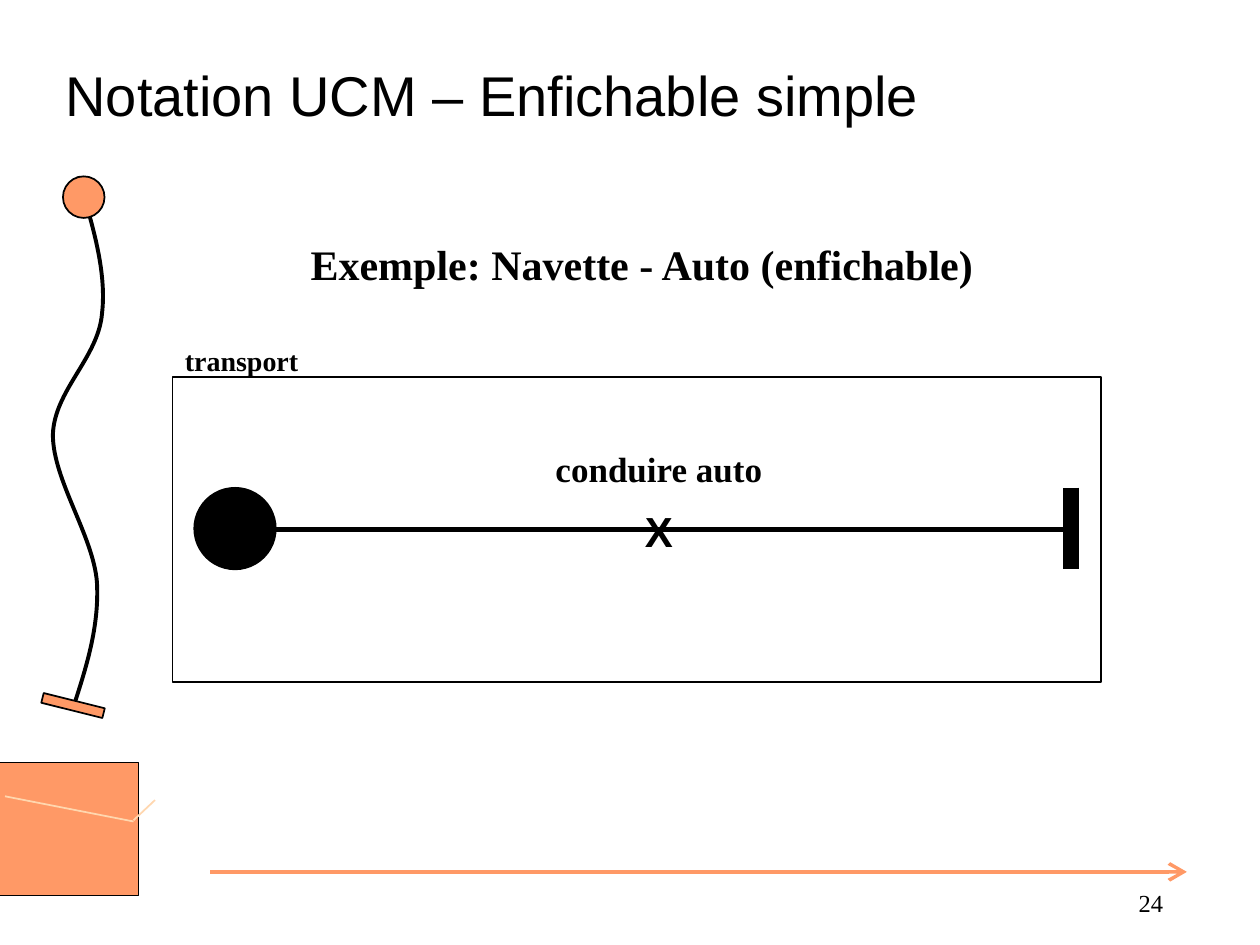
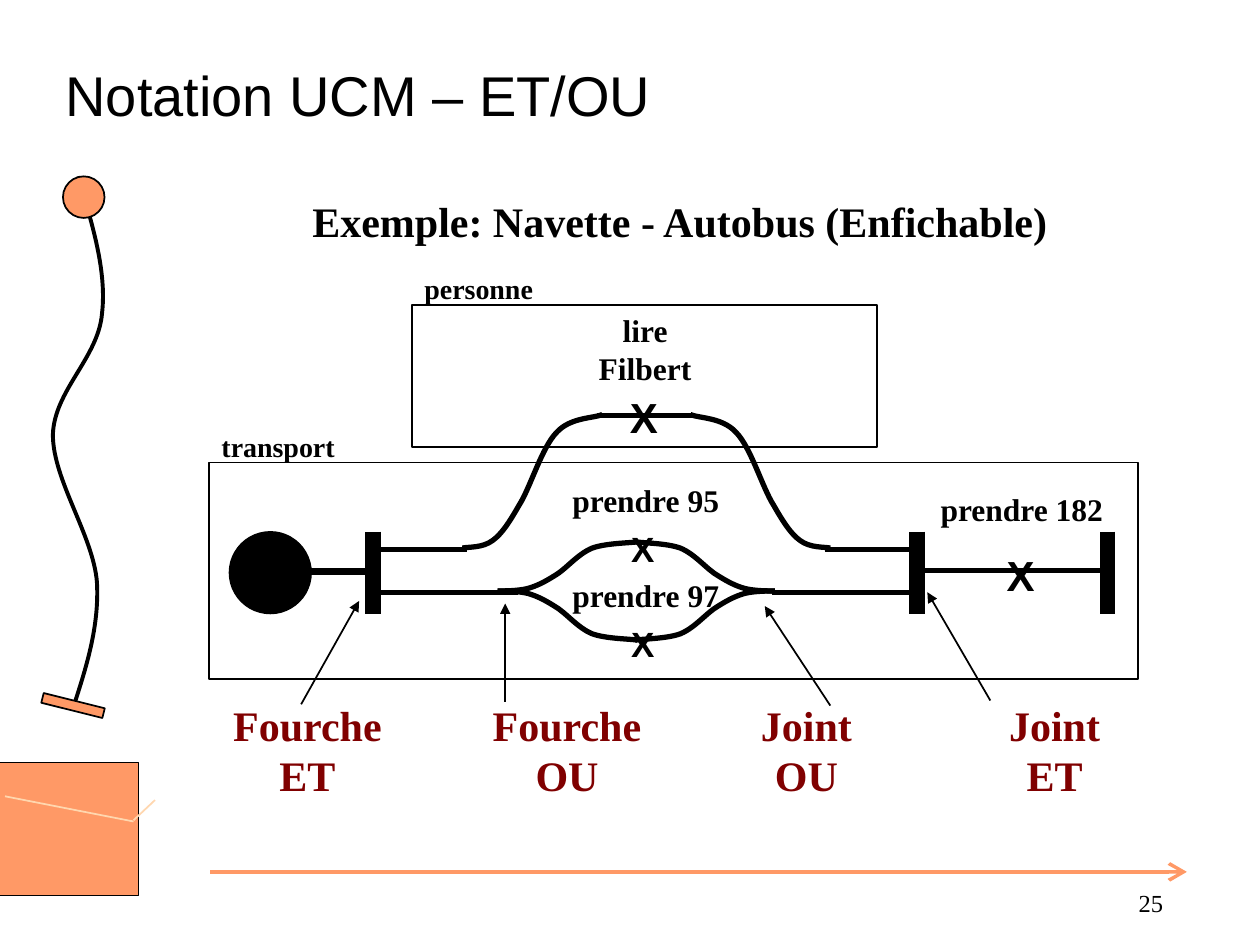
from lxml import etree
from pptx import Presentation
from pptx.dml.color import RGBColor
from pptx.enum.shapes import MSO_CONNECTOR, MSO_SHAPE
from pptx.enum.text import MSO_ANCHOR, PP_ALIGN
from pptx.oxml.ns import qn
from pptx.util import Pt

PX = 9144
SLIDE_W, SLIDE_H = 1000, 750
BLACK = RGBColor(0x00, 0x00, 0x00)
ORANGE = RGBColor(0xFF, 0x99, 0x66)
CREAM = RGBColor(0xFF, 0xD7, 0xAF)
MAROON = RGBColor(0x80, 0x00, 0x00)
RECT, OVAL = MSO_SHAPE.RECTANGLE, MSO_SHAPE.OVAL
STRAIGHT = MSO_CONNECTOR.STRAIGHT
LEFT, CENTER, RIGHT = PP_ALIGN.LEFT, PP_ALIGN.CENTER, PP_ALIGN.RIGHT
MIDDLE = MSO_ANCHOR.MIDDLE
SERIF, SANS = "Times New Roman", "Arial"

TITLE = {"name": SANS, "size": Pt(32), "bold": False}
HEADING = {"name": SERIF, "size": Pt(24), "bold": True}
ACTION = {"name": SERIF, "size": Pt(18), "bold": True}
COMPONENT = {"name": SERIF, "size": Pt(16), "bold": True}
NUMBER = {"name": SERIF, "size": Pt(14), "bold": False}
PATH_WIDTH, BAR_WIDTH = 3, 9

OPEN_HEAD = {"type": "arrow", "w": "lg", "len": "lg"}
SOLID_HEAD = {"type": "triangle"}

WAVE = [(20, 0), (31, 37), (43, 75), (39, 109), (36, 144), (1, 170), (0, 205),
        (0, 241), (32, 285), (35, 322), (37, 358), (26, 391), (16, 422)]
OR_BRANCH = [(111, -39), (105, -38), (86, -38), (75, -34), (63, -29), (54, -17),
             (45, -12), (37, -7), (31, -4), (24, -2), (16, 0), (5, 0), (0, 0)]
AND_BRANCH = [(111, -106), (105, -103), (86, -104), (75, -92), (63, -80), (54, -48),
              (45, -34), (37, -20), (31, -11), (24, -6), (16, 0), (5, -1), (0, 0)]


def px(*lengths):
    return [round(n * PX) for n in lengths]


def write(tf, text, fmt, align=LEFT, color=BLACK):
    tf.text = text
    for p in tf.paragraphs:
        p.alignment = align
        for r in p.runs:
            for name, value in fmt.items():
                setattr(r.font, name, value)
            r.font.color.rgb = color


def add_text(s, box, text, fmt, align=LEFT, color=BLACK):
    tf = s.shapes.add_textbox(*px(*box)).text_frame
    tf.word_wrap = False
    write(tf, text, fmt, align, color)


def add_block(s, kind, box, fill=None, width=1, rotation=0):
    sp = s.shapes.add_shape(kind, *px(*box))
    sp.shadow.inherit = False
    sp.rotation = rotation
    if fill is None:
        sp.fill.background()
    else:
        sp.fill.solid()
        sp.fill.fore_color.rgb = fill
    sp.line.color.rgb = BLACK
    sp.line.width = Pt(width)


def add_line(s, start, end, width=PATH_WIDTH, color=BLACK, head=None):
    line = s.shapes.add_connector(STRAIGHT, *px(*start, *end))
    line.line.color.rgb = color
    line.line.width = Pt(width)
    if head:
        etree.SubElement(line.line._get_or_add_ln(), qn("a:tailEnd"), head)
    etree.SubElement(line._element.spPr, qn("a:effectLst"))


def add_outline(s, points, width=PATH_WIDTH):
    emu = [px(*point) for point in points]
    builder = s.shapes.build_freeform(*emu[0], scale=1.0)
    builder.add_line_segments(emu[1:], close=False)
    sp = builder.convert_to_shape()
    sp.shadow.inherit = False
    sp.fill.background()
    sp.line.color.rgb = BLACK
    sp.line.width = Pt(width)
    return sp


def add_curve(s, x, y, points, flip_x=1, flip_y=1, width=PATH_WIDTH):
    placed = [(x + flip_x * dx, y + flip_y * dy) for dx, dy in points]
    sp = add_outline(s, placed, width)
    segments = list(sp._element.iter(qn("a:lnTo")))
    outline = segments[0].getparent()
    for i in range(0, len(segments), 3):
        cubic = etree.SubElement(outline, qn("a:cubicBezTo"))
        for segment in segments[i:i + 3]:
            cubic.append(segment[0])
            outline.remove(segment)


def add_corner(s, x, y):
    add_block(s, RECT, (x, y, 113, 106), ORANGE, 0.75)
    add_line(s, (x + 7, y + 27), (x + 109, y + 47), 1, CREAM)
    add_line(s, (x + 109, y + 46), (x + 126, y + 30), 1, CREAM)


def add_scenario_path(s, x, y):
    add_curve(s, x + 9, y, WAVE, width=2.25)
    add_block(s, RECT, (x, y + 416, 50, 8), ORANGE, rotation=14)
    add_block(s, OVAL, (x + 17, y, 33, 33), ORANGE)


def add_base(prs, title, number):
    s = prs.slides.add_slide(prs.slide_layouts[5])
    add_corner(s, -3, 605)
    add_scenario_path(s, 33, 140)
    add_line(s, (167, 692), (942, 692), 2, ORANGE, OPEN_HEAD)
    sp = s.shapes.title
    sp.left, sp.top, sp.width, sp.height = px(42, 25, 900, 100)
    sp.text_frame.vertical_anchor = MIDDLE
    write(sp.text_frame, title, TITLE)
    add_text(s, (883, 700, 50, 50), str(number), NUMBER, RIGHT)
    return s


def add_component(s, box, name):
    x, y, w, h = box
    add_block(s, RECT, box)
    add_text(s, (x, y - 31, 110, 37), name, COMPONENT)


def add_start(s, x, y):
    add_block(s, OVAL, (x, y, 65, 65), BLACK, 0.75)


def add_bar(s, x, y):
    add_line(s, (x, y), (x, y + 65), BAR_WIDTH)


def add_action(s, label_box, label, cross, size=24, label_size=18):
    cross_fmt = {"name": SANS, "size": Pt(size), "bold": True}
    cross_box = (42, 50) if size == 24 else (38, 44)
    add_text(s, (*cross, *cross_box), "X", cross_fmt)
    add_text(s, label_box, label, ACTION | {"size": Pt(label_size)}, CENTER)


def add_simple_flow(s, box):
    x, y, w, h = box
    add_component(s, box, "transport")
    add_line(s, (x + 61, y + 121), (x + 715, y + 121))
    add_start(s, x + 17, y + 88)
    add_bar(s, x + 713, y + 88)
    add_action(s, (x + 294, y + 51, 184, 44), "conduire auto", (x + 365, y + 97), 24, 20)


def add_reading(s, box):
    x, y, w, h = box
    add_component(s, box, "personne")
    add_action(s, (x + 125, y, 120, 70), "lire\nFilbert", (x + 163, y + 64))


def add_and_path(s, x, y):
    for left in (x + 130, x + 489):
        add_line(s, (left, y + 69), (left + 75, y + 69))
    add_line(s, (x + 308, y - 37), (x + 383, y - 37))
    add_curve(s, x + 201, y + 68, AND_BRANCH)
    add_curve(s, x + 493, y + 68, AND_BRANCH, flip_x=-1)


def add_or_path(s, x, y):
    fork, join, level = x + 229, x + 449, y + 102
    for flip_y in (1, -1):
        add_curve(s, fork, level, OR_BRANCH, 1, flip_y)
        add_curve(s, join, level, OR_BRANCH, -1, flip_y)
    for top, label in ((y + 10, "prendre 95"), (y + 85, "prendre 97")):
        add_action(s, (x + 278, top, 137, 40), label, (x + 325, top + 37), 20)


def add_fork_flow(s, box):
    x, y, w, h = box
    add_component(s, box, "transport")
    ends = ((x + 57, x + 130, x + 245), (x + 714, x + 562, x + 447))
    for outer, bar, inner in ends:
        add_outline(s, [(outer, y + 86), (bar, y + 86), (bar, y + 103), (inner, y + 103)])
    add_line(s, (x + 56, y + 87), (x + 131, y + 87))
    add_start(s, x + 16, y + 55)
    for bar_x in (x + 130, x + 562, x + 713):
        add_bar(s, bar_x, y + 55)
    add_and_path(s, x, y)
    add_or_path(s, x, y)
    add_action(s, (x + 570, y + 17, 150, 40), "prendre 182", (x + 623, y + 64))


def add_callouts(s, y):
    callouts = [
        ("Fourche\vET", 175, 138, (239, 9), (285, -73)),
        ("Fourche\vOU", 381, 138, (401, 7), (401, -71)),
        ("Joint\vOU", 594, 92, (659, 10), (607, -69)),
        ("Joint\vET", 791, 92, (786, 6), (736, -80)),
    ]
    for text, x, width, (x1, dy1), (x2, dy2) in callouts:
        add_text(s, (x, y, width, 90), text, HEADING, CENTER, MAROON)
        add_line(s, (x1, y + dy1), (x2, y + dy2), 1, head=SOLID_HEAD)


def build_simple_slide(prs):
    s = add_base(prs, "Notation UCM – Enfichable simple", 24)
    add_text(s, (236, 184, 547, 50), "Exemple: Navette - Auto (enfichable)", HEADING, CENTER)
    add_simple_flow(s, (137, 299, 737, 242))


def build_fork_slide(prs):
    s = add_base(prs, "Notation UCM – ET/OU", 25)
    add_text(s, (237, 150, 605, 50), "Exemple: Navette - Autobus (Enfichable)", HEADING, CENTER)
    add_reading(s, (327, 242, 369, 113))
    add_fork_flow(s, (166, 367, 737, 172))
    add_callouts(s, 550)


def main():
    prs = Presentation()
    prs.slide_width, prs.slide_height = px(SLIDE_W, SLIDE_H)
    build_simple_slide(prs)
    build_fork_slide(prs)
    prs.save("out.pptx")


if __name__ == "__main__":
    main()
